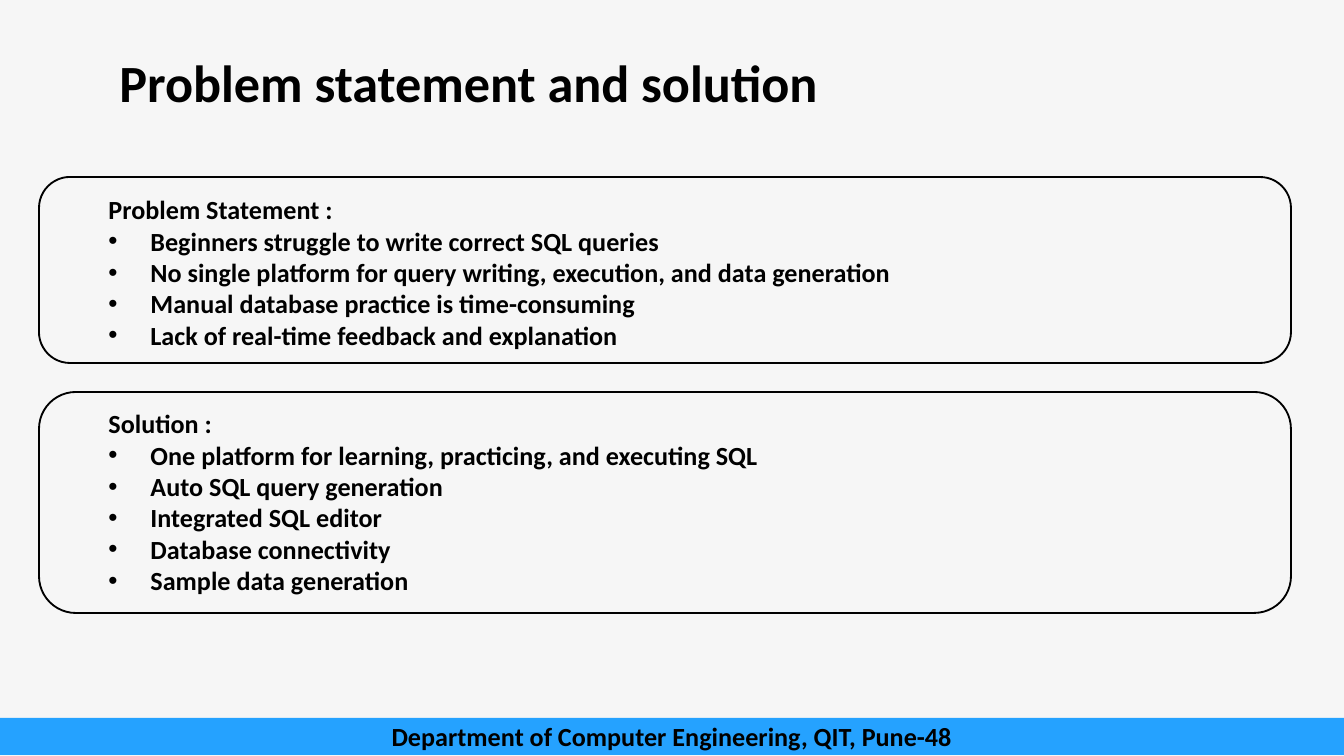
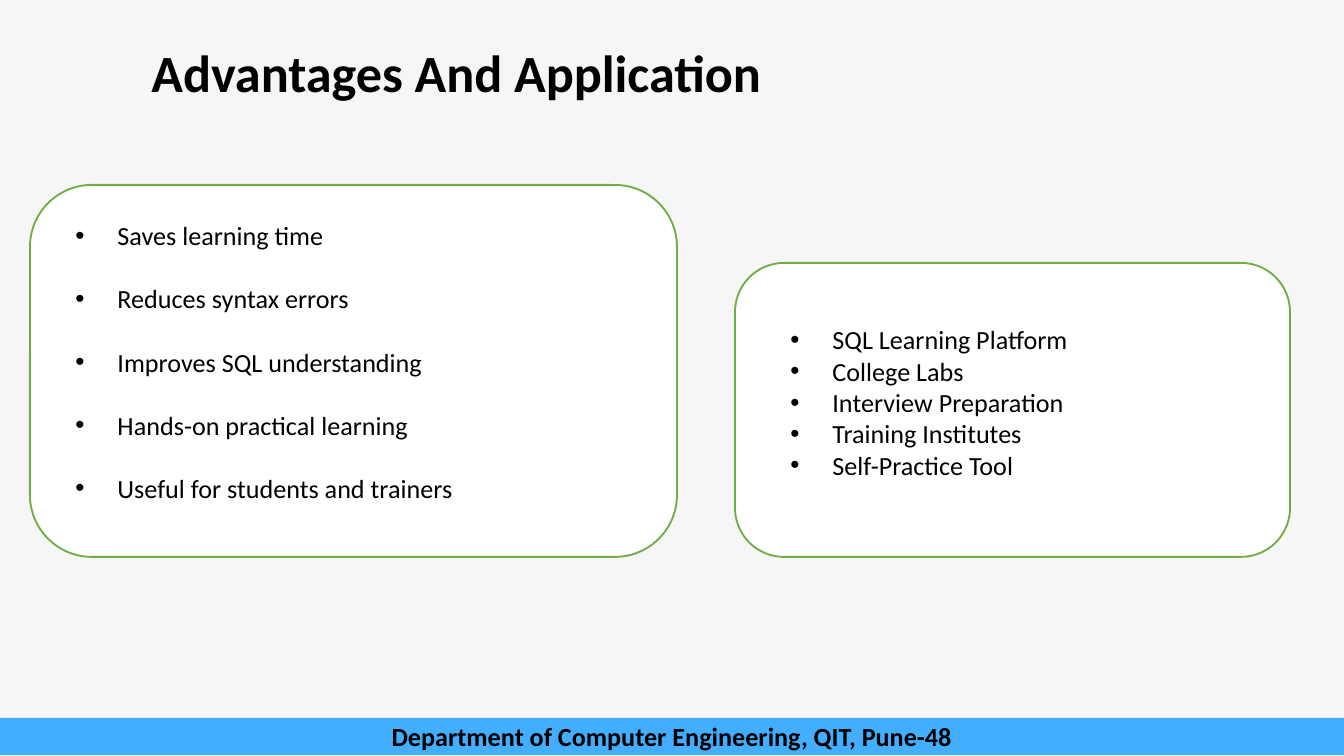
"""Build two slides on an SQL learning platform: problem and solution, advantages and applications."""
from lxml.etree import SubElement
from pptx import Presentation
from pptx.dml.color import RGBColor
from pptx.enum.shapes import MSO_SHAPE as Preset
from pptx.enum.text import MSO_ANCHOR as Anchor, MSO_AUTO_SIZE as AutoSize, PP_ALIGN as Align
from pptx.oxml.ns import qn
from pptx.util import Emu, Pt

PX = 9144000 / 1344
BLACK = RGBColor(0x00, 0x00, 0x00)
WHITE = RGBColor(0xFF, 0xFF, 0xFF)
PALE = RGBColor(0xF6, 0xF6, 0xF6)
GREEN = RGBColor(0x70, 0xAD, 0x47)
BLUE = RGBColor(0x25, 0xA2, 0xFF)
LIGHT_BLUE = RGBColor(0x43, 0xAE, 0xFF)

DEPARTMENT = "Department of Computer Engineering, QIT, Pune-48"
BULLET_INDENT = 42
FRAME_FORMAT = {"word_wrap": True, "auto_size": AutoSize.NONE}
PARAGRAPH_FORMAT = {"line_spacing": 1.0, "space_before": Pt(0)}

PAGES = [
    {
        "title": "Problem statement and solution",
        "title_box": (106, 43, 747, 77),
        "band": BLUE, "card_fill": PALE, "card_line": BLACK, "bold": True,
        "cards": [
            {"box": (39, 177, 1252, 186), "list_box": (95, 187, 1132, 172), "gap": 0,
             "heading": "Problem Statement :",
             "points": ["Beginners struggle to write correct SQL queries",
                        "No single platform for query writing, execution, and data generation",
                        "Manual database practice is time-consuming",
                        "Lack of real-time feedback and explanation"]},
            {"box": (39, 392, 1252, 221), "list_box": (95, 401, 1132, 203), "gap": 0,
             "heading": "Solution :",
             "points": ["One platform for learning, practicing, and executing SQL",
                        "Auto SQL query generation",
                        "Integrated SQL editor",
                        "Database connectivity",
                        "Sample data generation"]},
        ],
    },
    {
        "title": "Advantages And Application",
        "title_box": (138, 33, 821, 77),
        "band": LIGHT_BLUE, "card_fill": WHITE, "card_line": GREEN, "bold": False,
        "cards": [
            {"box": (30, 185, 647, 372), "list_box": (62, 213, 554, 298), "gap": 17,
             "heading": None,
             "points": ["Saves learning time",
                        "Reduces syntax errors",
                        "Improves SQL understanding",
                        "Hands-on practical learning",
                        "Useful for students and trainers"]},
            {"box": (735, 263, 555, 294), "list_box": (777, 317, 470, 172), "gap": 0,
             "heading": None,
             "points": ["SQL Learning Platform",
                        "College Labs",
                        "Interview Preparation",
                        "Training Institutes",
                        "Self-Practice Tool"]},
        ],
    },
]


def place(box):
    return [Emu(round(length * PX)) for length in box]


def write(shape, lines, size, bold, align=Align.LEFT, anchor=Anchor.TOP, gap=0):
    frame = shape.text_frame
    frame.text = "\n".join(lines)
    for name, value in (FRAME_FORMAT | {"vertical_anchor": anchor}).items():
        setattr(frame, name, value)
    for paragraph in frame.paragraphs:
        for name, value in (PARAGRAPH_FORMAT | {"alignment": align, "space_after": Pt(gap)}).items():
            setattr(paragraph, name, value)
        font = paragraph.runs[0].font
        for name, value in {"name": "Calibri", "size": Pt(size), "bold": bold}.items():
            setattr(font, name, value)
        font.color.rgb = BLACK


deck = Presentation()
deck.slide_width, deck.slide_height = place((1344, 756))

for page in PAGES:
    slide = deck.slides.add_slide(deck.slide_layouts[3])
    slide.background.fill.solid()
    slide.background.fill.fore_color.rgb = PALE
    title, *lists = slide.placeholders

    title.left, title.top, title.width, title.height = place(page["title_box"])
    write(title, [page["title"]], 28, True)

    for card, points in zip(page["cards"], lists):
        panel = slide.shapes.add_shape(Preset.ROUNDED_RECTANGLE, *place(card["box"]))
        panel.shadow.inherit = False
        panel.fill.solid()
        panel.fill.fore_color.rgb = page["card_fill"]
        panel.line.color.rgb = page["card_line"]
        panel.line.width = Pt(1)
        title.element.addprevious(panel.element)

        points.left, points.top, points.width, points.height = place(card["list_box"])
        headings = [card["heading"]] if card["heading"] else []
        write(points, headings + card["points"], 14, page["bold"], gap=card["gap"])
        for index, paragraph in enumerate(points.text_frame.paragraphs):
            is_heading = index < len(headings)
            indent = 0 if is_heading else round(BULLET_INDENT * PX)
            properties = paragraph._p.get_or_add_pPr()
            properties.set("marL", str(indent))
            properties.set("indent", str(-indent))
            if is_heading:
                SubElement(properties, qn("a:buNone"))
            else:
                SubElement(properties, qn("a:buFont"), typeface="Arial")
                SubElement(properties, qn("a:buChar"), char="•")

    band = slide.shapes.add_shape(Preset.RECTANGLE, *place((0, 718, 1344, 37)))
    band.shadow.inherit = False
    band.fill.solid()
    band.fill.fore_color.rgb = page["band"]
    band.line.fill.background()
    write(band, [DEPARTMENT], 14, True, Align.CENTER, Anchor.MIDDLE)

deck.save("out.pptx")
